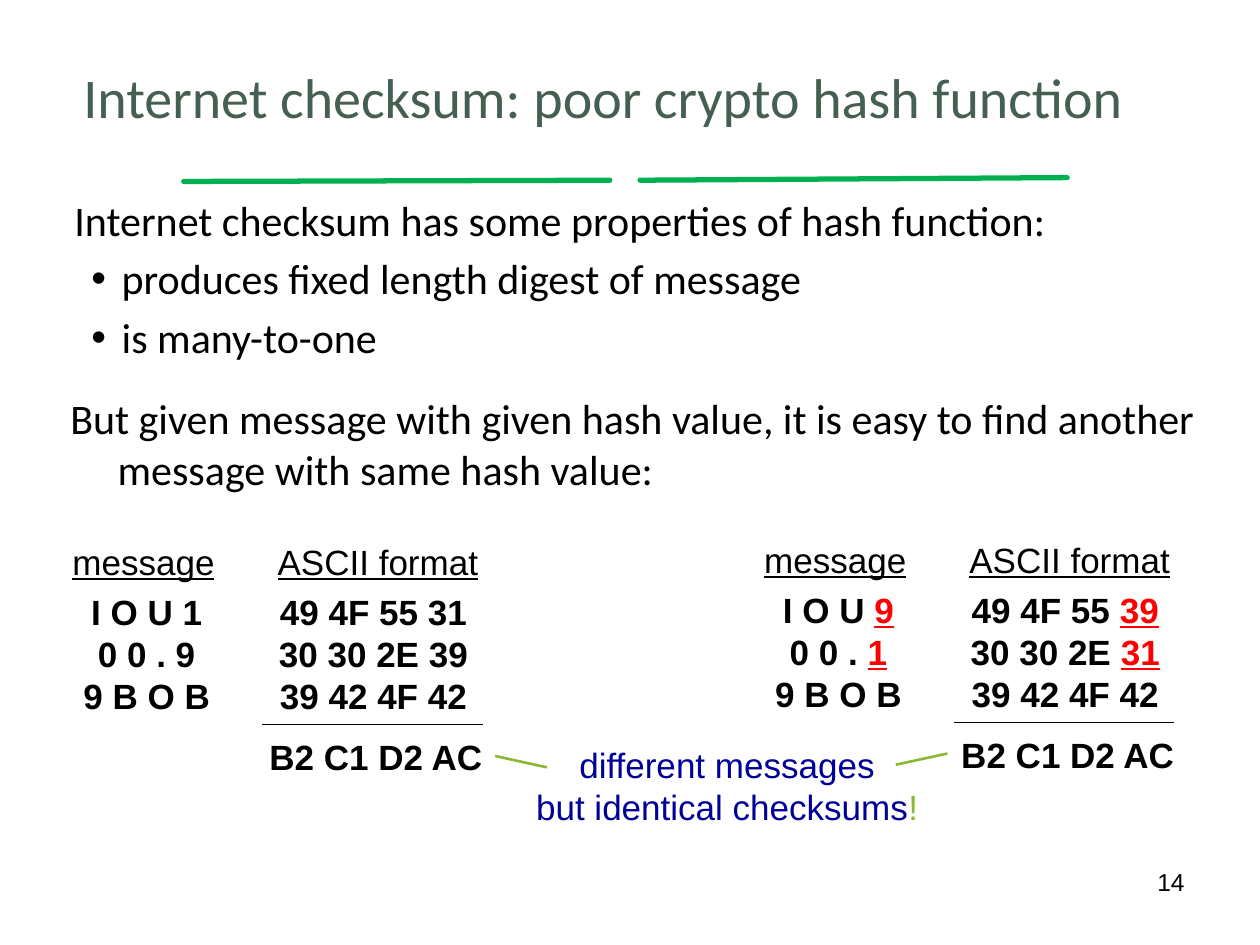
import pptx
import pptx.util
import pptx.dml.color
import pptx.enum.shapes
import pptx.enum.text
import pptx.oxml.ns
from lxml import etree

Pt = pptx.util.Pt
ALIGN = pptx.enum.text.PP_ALIGN
BLACK, RED, NAVY, LIME, GREEN, SLATE = (
    "000000", "FF0000", "000099", "8AB833", "00B050", "455F51")

TITLE = "Internet checksum: poor crypto hash function"
# (text, has bullet)
PROPERTIES = [
    ("Internet checksum has some properties of hash function:", False),
    ("produces fixed length digest of message", True),
    ("is many-to-one", True),
]
WEAKNESS = ("But given message with given hash value, it is easy to find "
            "another message with same hash value:")
# Each line is (unchanged part, changed part)
EXAMPLES = [
    {"origin": (33.8, 305.3),
     "message": [("I O U 1", ""), ("0 0 . 9", ""), ("9 B O B", "")],
     "ascii": [("49 4F 55 31", ""), ("30 30 2E 39", ""), ("39 42 4F 42", "")]},
    {"origin": (429.1, 304),
     "message": [("I O U ", "9"), ("0 0 . ", "1"), ("9 B O B", "")],
     "ascii": [("49 4F 55 ", "39"), ("30 30 2E ", "31"), ("39 42 4F 42", "")]},
]
CHECKSUM = "B2 C1 D2 AC"
CONCLUSION = [[("different messages", NAVY)],
              [("but identical checksums", NAVY), ("!", LIME)]]
PAGE_NUMBER = "14"
# (start x, start y, end x, end y)
TITLE_RULES = [(105, 103.7, 348.5, 103), (365.8, 103, 609.8, 101.5)]
POINTERS = [(312.5, 438.5, 283, 432), (511.9, 437, 541.4, 430.6)]

deck = pptx.Presentation()
deck.slide_width, deck.slide_height = Pt(720), Pt(540)
slide = deck.slides.add_slide(deck.slide_layouts[1])


def rgb(code):
    return pptx.dml.color.RGBColor.from_string(code)


def add_run(paragraph, text, size, color=BLACK, font="Arial",
            bold=False, underline=False):
    run = paragraph.add_run()
    run.text = text
    run.font.name, run.font.size = font, Pt(size)
    run.font.bold, run.font.underline = bold, underline
    run.font.color.rgb = rgb(color)


def place(shape, left, top, width, height):
    shape.left, shape.top = Pt(left), Pt(top)
    shape.width, shape.height = Pt(width), Pt(height)


def add_paragraphs(frame, count, align):
    """Return count paragraphs, the first being the one already there."""
    paragraphs = [frame.paragraphs[0]]
    paragraphs += [frame.add_paragraph() for _ in range(count - 1)]
    for paragraph in paragraphs:
        paragraph.alignment = align
    return paragraphs


def add_label(left, top, width, height, lines, **style):
    """Add a centred, unwrapped text box; a line is a list of (text, style)."""
    frame = slide.shapes.add_textbox(
        Pt(left), Pt(top), Pt(width), Pt(height)).text_frame
    frame.word_wrap = False
    frame.auto_size = pptx.enum.text.MSO_AUTO_SIZE.SHAPE_TO_FIT_TEXT
    for paragraph, line in zip(
            add_paragraphs(frame, len(lines), ALIGN.CENTER), lines):
        for text, extra in line:
            if text:
                add_run(paragraph, text, 20, **{**style, **extra})


def add_line(ends, color, width, cap="flat"):
    line = slide.shapes.add_connector(
        pptx.enum.shapes.MSO_CONNECTOR.STRAIGHT, *(Pt(v) for v in ends))
    line.line.color.rgb = rgb(color)
    line.line.width = Pt(width)
    properties = line._element.spPr
    properties.get_or_add_ln().set("cap", cap)
    etree.SubElement(properties, pptx.oxml.ns.qn("a:effectLst"))


def set_indent(paragraph, hanging, bullet=False):
    paragraph.space_before = Pt(4.8)
    properties = paragraph._p.get_or_add_pPr()
    properties.set("marL", str(Pt(27)))
    properties.set("indent", str(-Pt(hanging)))
    if bullet:
        font = etree.SubElement(properties, pptx.oxml.ns.qn("a:buFont"))
        font.set("typeface", "Arial")
        mark = etree.SubElement(properties, pptx.oxml.ns.qn("a:buChar"))
        mark.set("char", "•")
    else:
        etree.SubElement(properties, pptx.oxml.ns.qn("a:buNone"))


def add_example(example):
    left, top = example["origin"]

    def code_lines(lines):
        changed_style = {"color": RED, "underline": True}
        return [[(same, {}), (changed, changed_style)]
                for same, changed in lines]

    add_label(left, top, 96.5, 31.5, [[("message", {})]], underline=True)
    add_label(left + 117.4, top, 129.6, 31.5, [[("ASCII format", {})]],
              underline=True)
    add_label(left + 6.5, top + 28.8, 87, 80,
              code_lines(example["message"]), bold=True)
    add_label(left + 117.4, top + 28.8, 124.5, 80,
              code_lines(example["ascii"]), bold=True)
    add_line((left + 116, top + 108.7, left + 242, top + 108.7), BLACK, 0.75)
    add_label(left + 112.3, top + 111.6, 137.5, 31.5, [[(CHECKSUM, {})]],
              bold=True)


for ends in TITLE_RULES:
    add_line(ends, GREEN, 3, "rnd")

title = slide.shapes.title
place(title, 25.2, 21.6, 639.4, 66.2)
title.text_frame.vertical_anchor = pptx.enum.text.MSO_ANCHOR.MIDDLE
heading, = add_paragraphs(title.text_frame, 1, ALIGN.CENTER)
add_run(heading, TITLE, 32, SLATE, "Calibri")

body = slide.placeholders[1]
place(body, 35.3, 107.3, 663, 167)
for paragraph, (text, bullet) in zip(
        add_paragraphs(body.text_frame, len(PROPERTIES), ALIGN.LEFT),
        PROPERTIES):
    set_indent(paragraph, 17.3 if bullet else 27, bullet)
    add_run(paragraph, text, 24, font="Calibri")

weakness = slide.shapes.add_textbox(
    Pt(33.1), Pt(221), Pt(663), Pt(77)).text_frame
weakness.word_wrap = True
claim, = add_paragraphs(weakness, 1, ALIGN.LEFT)
set_indent(claim, 27)
add_run(claim, WEAKNESS, 24, font="Calibri")

for example in EXAMPLES:
    add_example(example)

add_label(294.5, 421.2, 242, 55.4,
          [[(text, {"color": color}) for text, color in line]
           for line in CONCLUSION])
for ends in POINTERS:
    add_line(ends, LIME, 1.5)

footer = slide.shapes.add_textbox(
    Pt(516.2), Pt(491.8), Pt(167.8), Pt(37.4)).text_frame
footer.word_wrap = True
number, = add_paragraphs(footer, 1, ALIGN.RIGHT)
add_run(number, PAGE_NUMBER, 14)

deck.save("out.pptx")
